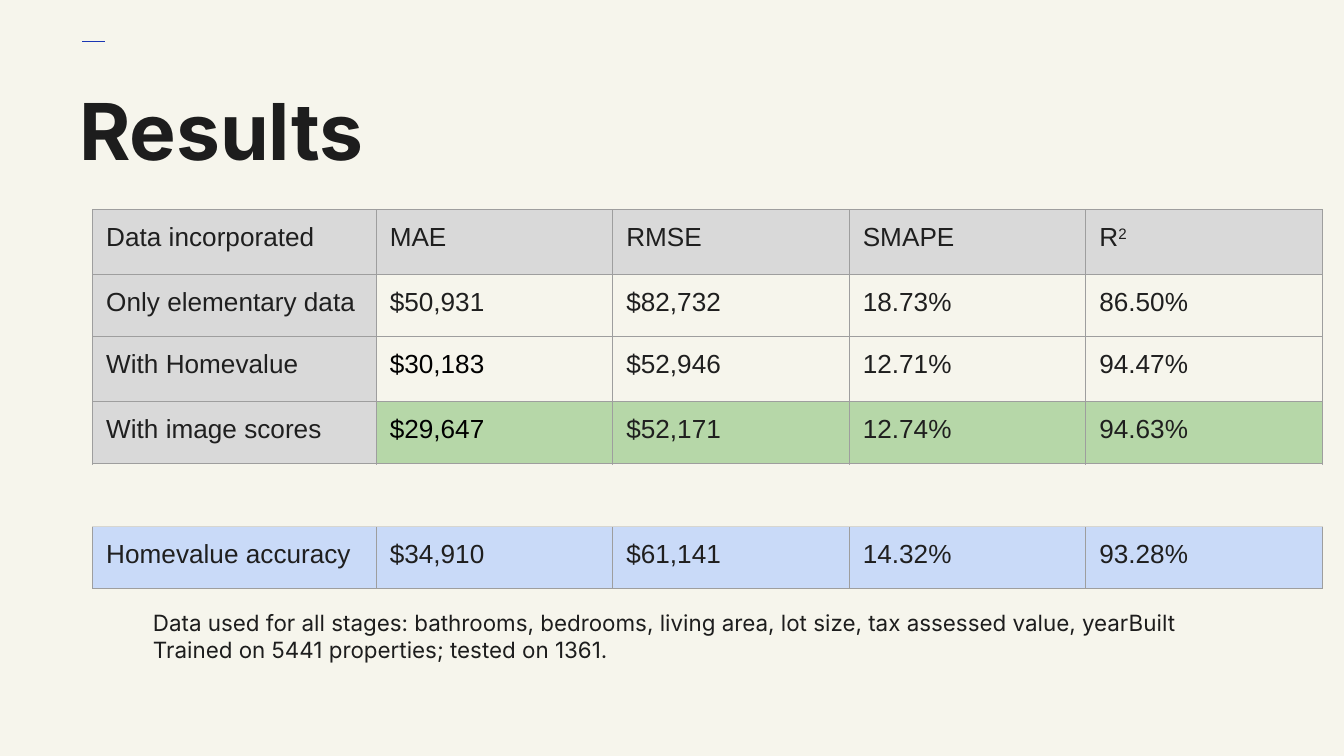
from dataclasses import dataclass

from lxml.etree import SubElement
from pptx import Presentation
from pptx.dml.color import RGBColor
from pptx.enum.shapes import MSO_CONNECTOR, MSO_SHAPE
from pptx.oxml.ns import qn
from pptx.util import Inches, Pt


@dataclass(frozen=True)
class Theme:
    """Colours, fonts and type sizes of the slide."""
    paper: str = "F6F5EC"
    ink: str = "1D1D1D"
    table_ink: str = "1F1F1F"
    black: str = "000000"
    accent: str = "1A36B4"
    border: str = "9E9E9E"
    label: str = "D9D9D9"
    best: str = "B6D7A8"
    baseline: str = "C9DAF8"
    heading_font: str = "Inter"
    table_font: str = "Arial"
    title_size: int = 42
    table_size: int = 14
    note_size: int = 12
    line_width: float = 0.75


THEME = Theme()
INSET = Inches(0.1)
COLUMN_WIDTHS = [2.11] + [1.76] * 4
TABLE_HEIGHT = 2.82
TALL_ROW = 0.48
LOW_ROW = (TABLE_HEIGHT - 2 * TALL_ROW) / 4
RESULTS = [
    (TALL_ROW, ["Data incorporated", "MAE", "RMSE", "SMAPE", "R²"], THEME.label, THEME.label),
    (LOW_ROW, ["Only elementary data", "$50,931", "$82,732", "18.73%", "86.50%"], THEME.label, None),
    (TALL_ROW, ["With Homevalue", "$30,183", "$52,946", "12.71%", "94.47%"], THEME.label, None),
    (LOW_ROW, ["With image scores", "$29,647", "$52,171", "12.74%", "94.63%"],
     THEME.label, THEME.best),
    (LOW_ROW, [""] * 5, None, None),
    (LOW_ROW, ["Homevalue accuracy", "$34,910", "$61,141", "14.32%", "93.28%"],
     THEME.baseline, THEME.baseline),
]
BLACK_VALUES = {"$30,183", "$29,647"}
NOTES = [
    "Data used for all stages: bathrooms, bedrooms, living area, lot size, tax assessed value, yearBuilt",
    "Trained on 5441 properties; tested on 1361.",
]


def rgb(value):
    """Turn a hex string into a colour."""
    return RGBColor.from_string(value)


def add_run(paragraph, text, font, size, color, bold=False):
    """Add one styled run and return it."""
    run = paragraph.add_run()
    run.text = text
    run.font.name = font
    run.font.size = Pt(size)
    run.font.bold = bold
    run.font.color.rgb = rgb(color)
    return run


def set_insets(holder):
    """Give a cell or text frame equal margins."""
    holder.margin_left = holder.margin_right = INSET
    holder.margin_top = holder.margin_bottom = INSET


def add_text(slide, box, lines, size, bold=False, spacing=None):
    """Add a wrapped text box with one paragraph per line."""
    frame = slide.shapes.add_textbox(*map(Inches, box)).text_frame
    frame.word_wrap = True
    set_insets(frame)
    for index, line in enumerate(lines):
        paragraph = frame.add_paragraph() if index else frame.paragraphs[0]
        paragraph.line_spacing = spacing
        add_run(paragraph, line, THEME.heading_font, size, THEME.ink, bold)


def add_accent_line(slide):
    """Draw the short dash above the title."""
    dash = slide.shapes.add_connector(
        MSO_CONNECTOR.STRAIGHT, Inches(0.78), Inches(0.31), Inches(0.61), Inches(0.31))
    dash.line.color.rgb = rgb(THEME.accent)
    dash.line.width = Pt(THEME.line_width)
    SubElement(dash._element.spPr, qn("a:effectLst"))


def set_borders(cell):
    """Outline a cell on all four sides."""
    properties = cell._tc.get_or_add_tcPr()
    for side in ("lnL", "lnR", "lnT", "lnB"):
        edge = SubElement(properties, qn(f"a:{side}"), w=str(Pt(THEME.line_width)))
        fill = SubElement(edge, qn("a:solidFill"))
        SubElement(fill, qn("a:srgbClr"), val=THEME.border)


def fill_cell(cell, text, fill):
    """Style a cell and write its text, raising a final square sign."""
    set_borders(cell)
    if fill:
        cell.fill.solid()
        cell.fill.fore_color.rgb = rgb(fill)
    else:
        cell.fill.background()
    if not text:
        return
    set_insets(cell)
    color = THEME.black if text in BLACK_VALUES else THEME.table_ink
    paragraph = cell.text_frame.paragraphs[0]
    add_run(paragraph, text.rstrip("²"), THEME.table_font, THEME.table_size, color)
    if text.endswith("²"):
        power = add_run(paragraph, "2", THEME.table_font, THEME.table_size, color)
        power._r.get_or_add_rPr().set("baseline", "30000")


def add_results_table(slide):
    """Build the table of model errors."""
    table = slide.shapes.add_table(
        len(RESULTS), len(COLUMN_WIDTHS), Inches(0.69), Inches(1.56),
        Inches(sum(COLUMN_WIDTHS)), Inches(TABLE_HEIGHT)).table
    table.first_row = table.horz_banding = False
    for column, width in zip(table.columns, COLUMN_WIDTHS):
        column.width = Inches(width)
    for row, (height, texts, label_fill, value_fill) in zip(table.rows, RESULTS):
        row.height = Inches(height)
        for index, (cell, text) in enumerate(zip(row.cells, texts)):
            fill_cell(cell, text, value_fill if index else label_fill)


def add_gap_band(slide):
    """Cover the empty row so the last row stands apart."""
    band = slide.shapes.add_shape(
        MSO_SHAPE.RECTANGLE, Inches(0.23), Inches(3.46), Inches(9.77), Inches(0.46))
    band.shadow.inherit = False
    band.fill.solid()
    band.fill.fore_color.rgb = rgb(THEME.paper)
    band.line.fill.background()


def main():
    """Build and save the results slide."""
    presentation = Presentation()
    presentation.slide_width = Inches(10)
    presentation.slide_height = presentation.slide_width * 9 // 16
    slide = presentation.slides.add_slide(presentation.slide_layouts[6])
    slide.background.fill.solid()
    slide.background.fill.fore_color.rgb = rgb(THEME.paper)
    add_accent_line(slide)
    add_text(slide, (0.49, 0.65, 4.83, 0.84), ["Results"], THEME.title_size,
             bold=True, spacing=0.8)
    add_results_table(slide)
    add_text(slide, (1.04, 4.43, 8.8, 0.58), NOTES, THEME.note_size)
    add_gap_band(slide)
    presentation.save("out.pptx")


if __name__ == "__main__":
    main()
